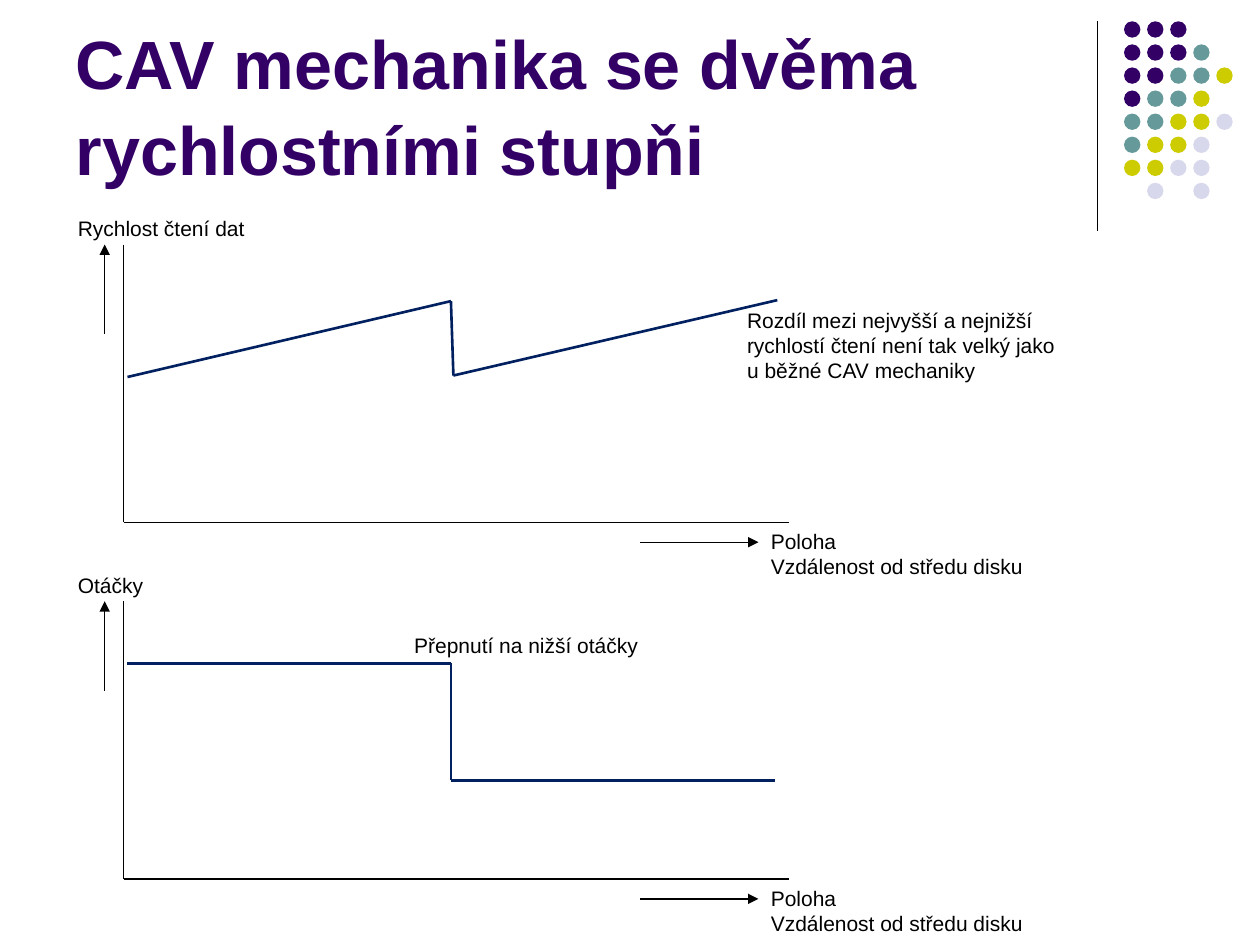
from dataclasses import dataclass

from lxml import etree
from pptx import Presentation
from pptx.dml.color import RGBColor
from pptx.enum.shapes import MSO_CONNECTOR, MSO_SHAPE
from pptx.enum.text import MSO_ANCHOR, MSO_AUTO_SIZE, PP_ALIGN
from pptx.oxml.ns import qn
from pptx.util import Cm, Pt

STRAIGHT = MSO_CONNECTOR.STRAIGHT
OVAL = MSO_SHAPE.OVAL
BOTTOM = MSO_ANCHOR.BOTTOM
LEFT = PP_ALIGN.LEFT
NO_AUTOFIT = MSO_AUTO_SIZE.NONE
TITLE_ONLY = 5


@dataclass(frozen=True)
class Theme:
    font: str = "Arial"
    title_size: float = 39
    label_size: float = 12
    axis_width: float = 0.75
    curve_width: float = 1.5
    purple: str = "330066"
    teal: str = "669999"
    olive: str = "CCCC00"
    lavender: str = "D8D8EC"
    ink: str = "000000"
    curve: str = "002060"


THEME = Theme()
DOT_COLORS = {"P": THEME.purple, "T": THEME.teal,
              "O": THEME.olive, "L": THEME.lavender}
DOT_ROWS = ["PPP", "PPPT", "PPTTO", "PTTO", "TTOOL", "TOOL", "OOLL", ".L.L"]


def style_text(frame, size, color, bold=False):
    for paragraph in frame.paragraphs:
        paragraph.alignment = LEFT
        for run in paragraph.runs:
            run.font.name = THEME.font
            run.font.size = Pt(size)
            run.font.bold = bold
            run.font.color.rgb = RGBColor.from_string(color)


def add_line(slide, start, end, color=THEME.ink, width=THEME.axis_width,
             arrow=False):
    line = slide.shapes.add_connector(
        STRAIGHT, *(Cm(value) for value in (*start, *end)))
    line.line.color.rgb = RGBColor.from_string(color)
    line.line.width = Pt(width)
    if arrow:
        etree.SubElement(line.line._get_or_add_ln(), qn("a:tailEnd"),
                         type="triangle")
    etree.SubElement(line._element.spPr, qn("a:effectLst"))


def add_label(slide, text, left, top, width, height):
    label = slide.shapes.add_textbox(Cm(left), Cm(top), Cm(width), Cm(height))
    label.text_frame.word_wrap = True
    label.text_frame.text = text
    style_text(label.text_frame, THEME.label_size, THEME.ink)


def place_title(slide, text, left, top, width, height):
    title = slide.shapes.title
    title.left, title.top = Cm(left), Cm(top)
    title.width, title.height = Cm(width), Cm(height)
    frame = title.text_frame
    frame.text = text
    frame.word_wrap = True
    frame.auto_size = NO_AUTOFIT
    frame.vertical_anchor = BOTTOM
    frame.paragraphs[0].line_spacing = 1.05
    style_text(frame, THEME.title_size, THEME.purple, bold=True)


def add_corner_ornament(slide, left, top, height):
    """Vertical rule with a grid of coloured dots to its right."""
    add_line(slide, (left, top), (left, top + height))
    dots = slide.shapes.add_group_shape()
    first_column, pitch, diameter = left + 0.54, 0.465, 0.33
    for row, codes in enumerate(DOT_ROWS):
        for column, code in enumerate(codes):
            if code not in DOT_COLORS:
                continue
            dot = dots.shapes.add_shape(
                OVAL, Cm(first_column + column * pitch), Cm(top + row * pitch),
                Cm(diameter), Cm(diameter))
            dot.shadow.inherit = False
            dot.fill.solid()
            dot.fill.fore_color.rgb = RGBColor.from_string(DOT_COLORS[code])
            dot.line.fill.background()


def add_graph(slide, left, top, quantity, curve, note, note_box):
    """Axes, their labels, a curve through the given points and a note."""
    def at(x, y):
        return left + x, top + y

    axis_x, axis_top, axis_bottom, axis_right = 1.17, 0.71, 6.31, 14.58
    origin = at(axis_x, axis_bottom)
    add_line(slide, at(axis_x, axis_top), origin)
    add_line(slide, origin, at(axis_right, axis_bottom))

    add_label(slide, quantity, *at(0, 0), 6.02, 0.76)
    add_line(slide, at(0.79, 2.51), at(0.79, axis_top), arrow=True)

    position_x = 13.97
    add_line(slide, at(11.58, 6.71), at(position_x, 6.71), arrow=True)
    add_label(slide, "Poloha\nVzdálenost od středu disku",
              *at(position_x, axis_bottom), 6, 1.3)

    for start, end in zip(curve, curve[1:]):
        add_line(slide, at(*start), at(*end), THEME.curve, THEME.curve_width)

    note_x, note_y, note_width, note_height = note_box
    add_label(slide, note, *at(note_x, note_y), note_width, note_height)


def main():
    presentation = Presentation()
    presentation.slide_width, presentation.slide_height = Cm(25.4), Cm(19.05)
    slide = presentation.slides.add_slide(
        presentation.slide_layouts[TITLE_ONLY])

    add_corner_ornament(slide, 22.12, 0.43, 4.22)
    place_title(slide, "CAV mechanika se dvěma rychlostními stupňi",
                1.27, 0.33, 20.96, 3.61)

    graph_left = 1.32
    add_graph(
        slide, graph_left, 4.22, "Rychlost čtení dat",
        [(1.25, 3.38), (7.77, 1.85), (7.82, 3.35), (14.35, 1.83)],
        "Rozdíl mezi nejvyšší a nejnižší rychlostí čtení není tak velký "
        "jako u běžné CAV mechaniky",
        (13.49, 1.85, 7.01, 1.8))
    add_graph(
        slide, graph_left, 11.41, "Otáčky",
        [(1.25, 1.96), (7.77, 1.96), (7.77, 4.32), (14.3, 4.32)],
        "Přepnutí na nižší otáčky",
        (6.78, 1.22, 7.01, 0.76))

    presentation.save("out.pptx")


if __name__ == "__main__":
    main()
